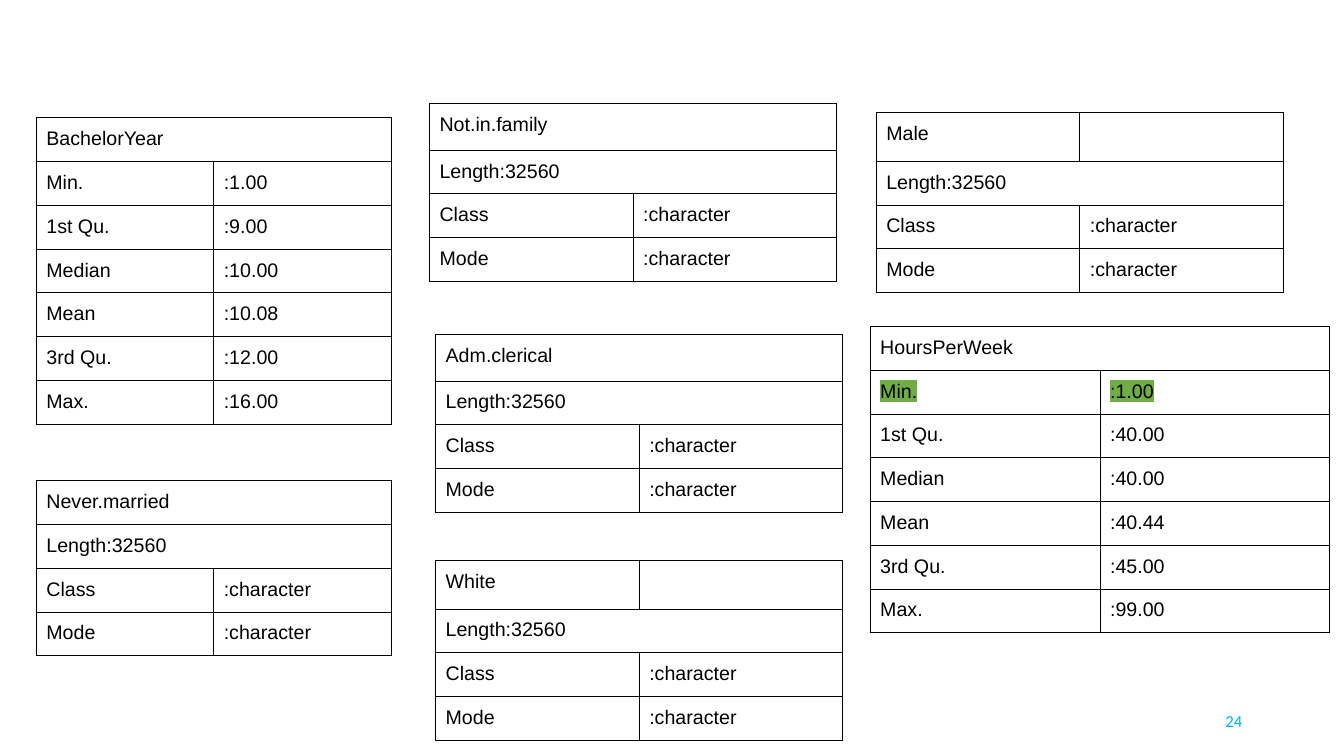
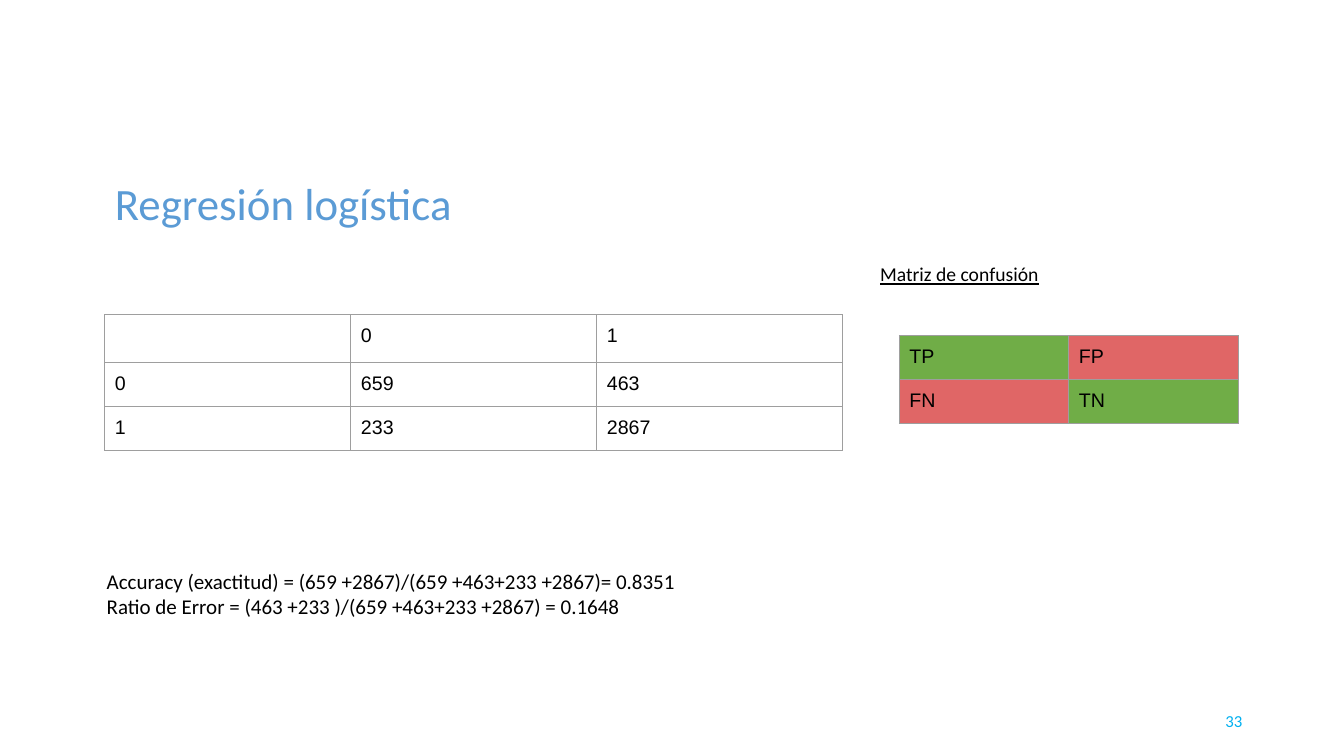
"""Build two slides: variable summary tables and a logistic regression confusion matrix."""
import pptx
import pptx.dml.color
import pptx.enum.text
import pptx.oxml
import pptx.oxml.ns
import pptx.util

Inches = pptx.util.Inches
Pt = pptx.util.Pt
RGBColor = pptx.dml.color.RGBColor
ALIGN = pptx.enum.text.PP_ALIGN
ANCHOR = pptx.enum.text.MSO_ANCHOR

BLACK = RGBColor(0x00, 0x00, 0x00)
GREY = RGBColor(0x9E, 0x9E, 0x9E)
GREEN = RGBColor(0x70, 0xAD, 0x47)
RED = RGBColor(0xE0, 0x66, 0x66)
TITLE_BLUE = RGBColor(0x5B, 0x9B, 0xD5)
NUMBER_BLUE = RGBColor(0x00, 0xB0, 0xF0)

TABLE_FONT = {"name": "Arial", "size": Pt(14)}
TITLE_FONT = {"name": "Calibri", "size": Pt(32), "bold": False}
NUMBER_FONT = {"name": "Calibri", "size": Pt(12)}
BODY_FONT = {"name": "Calibri", "size": Pt(15)}
CAPTION_FONT = {"name": "Calibri", "size": Pt(14), "underline": True}
NUMBER_FRAME = {"vertical_anchor": ANCHOR.MIDDLE}
TITLE_FRAME = {"vertical_anchor": ANCHOR.BOTTOM, "word_wrap": True}
BODY_FRAME = {
    "margin_top": Inches(0.1),
    "margin_bottom": Inches(0.1),
    "auto_size": pptx.enum.text.MSO_AUTO_SIZE.SHAPE_TO_FIT_TEXT,
}
CELL_MARGINS = {
    f"margin_{side}": Inches(0.1) for side in ("left", "right", "top", "bottom")
}


def add_text(slide, box, lines, font, color, frame, align=ALIGN.LEFT):
    """Add a wrapped text box with one paragraph for each line."""
    shape = slide.shapes.add_textbox(*map(Inches, box))
    for name, value in {"word_wrap": True, **frame}.items():
        setattr(shape.text_frame, name, value)
    shape.text_frame.text = "\n".join(lines)
    for paragraph in shape.text_frame.paragraphs:
        paragraph.alignment = align
        for name, value in font.items():
            setattr(paragraph.runs[0].font, name, value)
        paragraph.runs[0].font.color.rgb = color


def add_grid(slide, left, top, column_width, heights, rows, border, fills=None):
    """Add a bordered table where a row with one text spans all columns."""
    columns = max(map(len, rows))
    table = slide.shapes.add_table(
        len(rows), columns, Inches(left), Inches(top),
        Inches(column_width * columns), Inches(sum(heights)),
    ).table
    table.first_row = table.horz_banding = False
    for column in table.columns:
        column.width = Inches(column_width)
    for row_index, texts in enumerate(rows):
        table.rows[row_index].height = Inches(heights[row_index])
        for column_index in range(columns):
            cell = table.cell(row_index, column_index)
            for name, value in CELL_MARGINS.items():
                setattr(cell, name, value)
            if fills:
                cell.fill.solid()
                cell.fill.fore_color.rgb = fills[row_index][column_index]
            else:
                cell.fill.background()
            for position, side in enumerate("LRTB"):
                visible = any(texts) or side in "TB"
                paint = (
                    f'<a:solidFill><a:srgbClr val="{border}"/></a:solidFill>'
                    if visible else "<a:noFill/>"
                )
                line = pptx.oxml.parse_xml(
                    f'<a:ln{side} {pptx.oxml.ns.nsdecls("a")} w="{Pt(0.75)}">{paint}</a:ln{side}>'
                )
                cell._tc.get_or_add_tcPr().insert(position, line)
            paragraph = cell.text_frame.paragraphs[0]
            if column_index < len(texts) and texts[column_index]:
                paragraph.add_run().text = texts[column_index]
            for font in [paragraph.font] + [run.font for run in paragraph.runs]:
                for name, value in TABLE_FONT.items():
                    setattr(font, name, value)
                font.color.rgb = BLACK
        if len(texts) == 1:
            table.cell(row_index, 0).merge(table.cell(row_index, columns - 1))
    return table


presentation = pptx.Presentation()
presentation.slide_width = Inches(13.33)
presentation.slide_height = Inches(7.5)
summary_slide = presentation.slides.add_slide(presentation.slide_layouts[6])
regression_slide = presentation.slides.add_slide(presentation.slide_layouts[5])
for slide, number in ((summary_slide, "24"), (regression_slide, "33")):
    add_text(slide, (9.42, 6.95, 3, 0.4), [number], NUMBER_FONT, NUMBER_BLUE,
             NUMBER_FRAME, ALIGN.RIGHT)

STATISTICS = ("Min.", "1st Qu.", "Median", "Mean", "3rd Qu.", "Max.")
CHARACTER_ROWS = [("Length:32560",), ("Class", ":character"), ("Mode", ":character")]
CHARACTER_HEIGHTS = [0.42] * 3
NUMERIC_HEIGHTS = [0.42, 0.42, 0.42, 0.42, 0.43, 0.42, 0.43]
bachelor_values = (":1.00", ":9.00", ":10.00", ":10.08", ":12.00", ":16.00")
hours_values = (":1.00", ":40.00", ":40.00", ":40.44", ":45.00", ":99.00")

add_grid(summary_slide, 0.36, 1.17, 1.76, NUMERIC_HEIGHTS,
         [("BachelorYear",), *zip(STATISTICS, bachelor_values)], BLACK)
add_grid(summary_slide, 4.32, 3.32, 2.02,
         [0.46, *CHARACTER_HEIGHTS, 0.48, 0.48, *CHARACTER_HEIGHTS],
         [("Adm.clerical",), *CHARACTER_ROWS, ("", ""), ("White", ""), *CHARACTER_ROWS], BLACK)
for left, top, column_width, header_height, header in (
    (0.36, 4.77, 1.76, 0.42, ("Never.married",)),
    (4.26, 1.03, 2.02, 0.46, ("Not.in.family",)),
    (8.69, 1.12, 2.02, 0.48, ("Male", "")),
):
    add_grid(summary_slide, left, top, column_width, [header_height, *CHARACTER_HEIGHTS],
             [header, *CHARACTER_ROWS], BLACK)
hours_table = add_grid(summary_slide, 8.63, 3.24, 2.28, [0.43, 0.43, *NUMERIC_HEIGHTS[2:]],
                       [("HoursPerWeek",), *zip(STATISTICS, hours_values)], BLACK)
for cell in hours_table.rows[1].cells:
    highlight = pptx.oxml.parse_xml(
        f'<a:highlight {pptx.oxml.ns.nsdecls("a")}><a:srgbClr val="{GREEN}"/></a:highlight>'
    )
    properties = cell.text_frame.paragraphs[0].runs[0]._r.get_or_add_rPr()
    properties.find(pptx.oxml.ns.qn("a:solidFill")).addnext(highlight)

title = regression_slide.shapes.title
title.left, title.top, title.width, title.height = map(Inches, (1.04, 1.75, 4.99, 0.58))
for name, value in TITLE_FRAME.items():
    setattr(title.text_frame, name, value)
title.text_frame.text = "Regresión logística"
paragraph = title.text_frame.paragraphs[0]
paragraph.alignment = ALIGN.LEFT
paragraph.line_spacing = 0.9
for name, value in TITLE_FONT.items():
    setattr(paragraph.runs[0].font, name, value)
paragraph.runs[0].font.color.rgb = TITLE_BLUE

add_grid(regression_slide, 1.04, 3.12, 2.44, [0.48, 0.43, 0.43],
         [("", "0", "1"), ("0", "659", "463"), ("1", "233", "2867")], GREY)
add_text(regression_slide, (0.96, 5.54, 7.31, 0.71), [
    "Accuracy (exactitud) = (659 +2867)/(659 +463+233 +2867)= 0.8351",
    "Ratio de Error = (463 +233 )/(659 +463+233 +2867) = 0.1648",
], BODY_FONT, BLACK, BODY_FRAME)
add_grid(regression_slide, 8.92, 3.33, 1.68, [0.43, 0.43],
         [("TP", "FP"), ("FN", "TN")], GREY, [(GREEN, RED), (RED, GREEN)])
add_text(regression_slide, (8.63, 2.5, 3.97, 0.44), ["Matriz de confusión"],
         CAPTION_FONT, BLACK, BODY_FRAME)

presentation.save("out.pptx")
